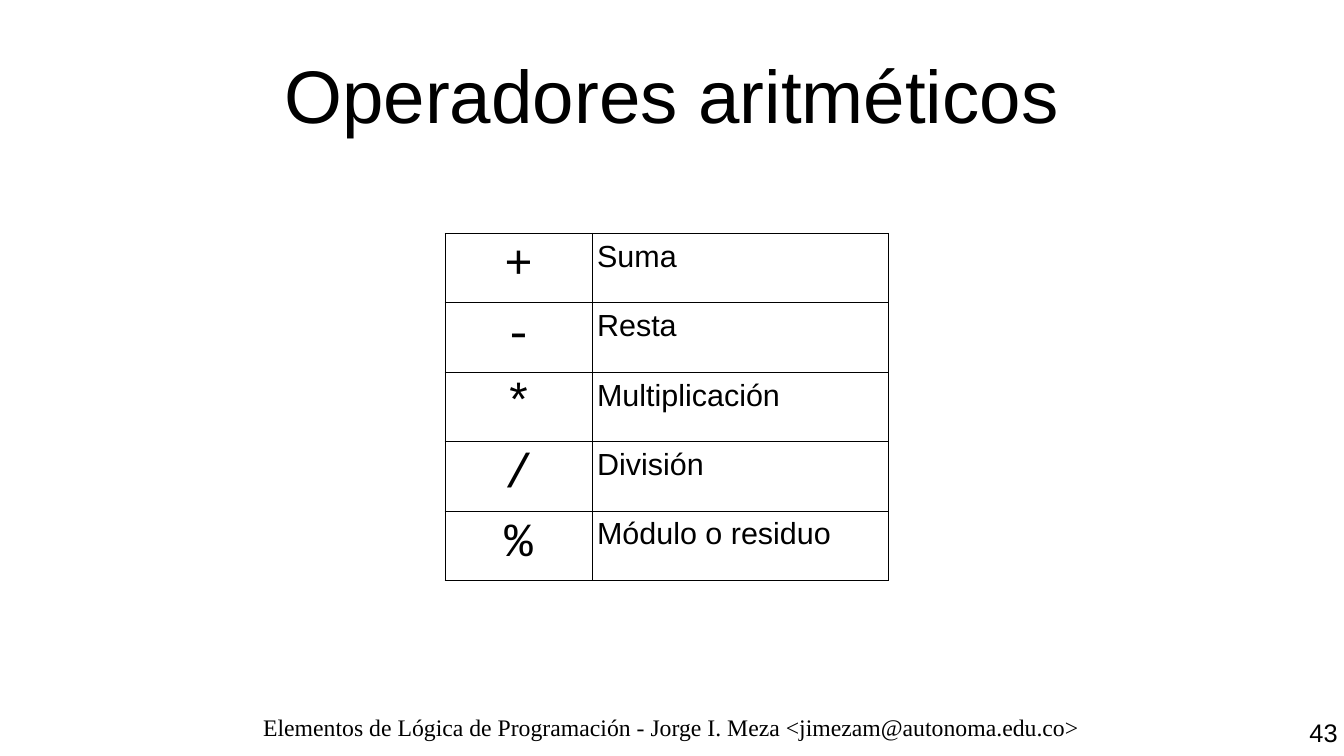
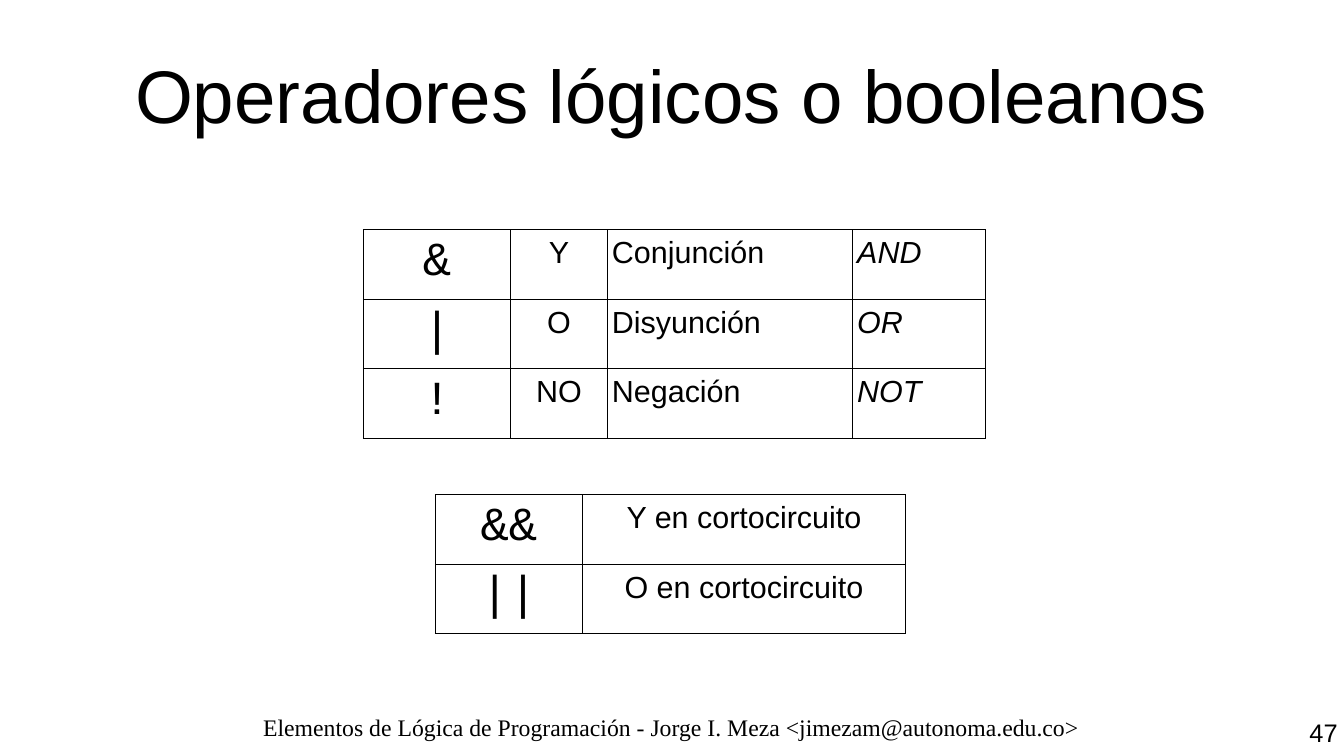
from dataclasses import dataclass

from lxml import etree
from pptx import Presentation
from pptx.dml.color import RGBColor
from pptx.enum.text import MSO_ANCHOR, PP_ALIGN
from pptx.oxml.ns import qn
from pptx.util import Cm, Pt

LEFT, MID, RIGHT = PP_ALIGN.LEFT, PP_ALIGN.CENTER, PP_ALIGN.RIGHT
TOP, CENTER = MSO_ANCHOR.TOP, MSO_ANCHOR.MIDDLE
BLANK = 6


@dataclass(frozen=True)
class Theme:
    ink: str = "000000"
    paper: str = "FFFFFF"
    sans: str = "Arial"
    mono: str = "Courier New"
    serif: str = "Times New Roman"
    head: int = 44
    sign: int = 28
    body: int = 18
    page: int = 15
    foot: int = 14
    rule: float = 0.57


THEME = Theme()

# Column styles: alignment and font values
SIGN = (MID, dict(name=THEME.mono, size=Pt(THEME.sign)))
WORD = (MID, dict(name=THEME.sans, size=Pt(THEME.body)))
NAME = (LEFT, WORD[1])
TERM = (LEFT, dict(WORD[1], italic=True))

FOOTER = ("Elementos de Lógica de Programación - "
          "Jorge I. Meza <jimezam@autonoma.edu.co>")


class Deck:
    def __init__(self, theme):
        self.theme = theme
        self.prs = Presentation()
        self.prs.slide_width, self.prs.slide_height = Cm(28), Cm(15.75)
        self.slide = None

    def label(self, frame, text, style):
        align, values = style
        para = frame.paragraphs[0]
        para.alignment = align
        run = para.add_run()
        run.text = text
        for key, value in values.items():
            setattr(run.font, key, value)
        run.font.color.rgb = RGBColor.from_string(self.theme.ink)

    def text(self, box, text, style, anchor=TOP, inset=(0, 0)):
        frame = self.slide.shapes.add_textbox(*map(Cm, box)).text_frame
        side, top = map(Cm, inset)
        form = dict(word_wrap=True, vertical_anchor=anchor,
                    margin_left=side, margin_right=side,
                    margin_top=top, margin_bottom=top)
        for key, value in form.items():
            setattr(frame, key, value)
        self.label(frame, text, style)

    def page(self, title, number):
        look = self.theme
        self.slide = self.prs.slides.add_slide(self.prs.slide_layouts[BLANK])
        fill = self.slide.background.fill
        fill.solid()
        fill.fore_color.rgb = RGBColor.from_string(look.paper)
        # Page number, title and footer
        self.text((25.2, 14.81, 2.8, 0.94), str(number),
                  (RIGHT, dict(name=look.sans, size=Pt(look.page))),
                  inset=(0.13, 0.13))
        self.text((1.4, 0.63, 25.2, 2.65), title,
                  (MID, dict(name=look.sans, size=Pt(look.head))), CENTER)
        self.text((1.3, 14.86, 25.38, 0.89), FOOTER,
                  (MID, dict(name=look.serif, size=Pt(look.foot))))

    def border(self, cell):
        props = cell._tc.get_or_add_tcPr()
        for side in ("lnL", "lnR", "lnT", "lnB"):
            line = etree.SubElement(props, qn(f"a:{side}"),
                                    w=str(int(Pt(self.theme.rule))))
            fill = etree.SubElement(line, qn("a:solidFill"))
            etree.SubElement(fill, qn("a:srgbClr"), val=self.theme.ink)

    def table(self, left, top, cols, rows, high=1.44):
        """Each column is a width with a style."""
        grid = self.slide.shapes.add_table(
            len(rows), len(cols), Cm(left), Cm(top),
            Cm(sum(wide for wide, _ in cols)), Cm(high * len(rows))).table
        grid.first_row = grid.horz_banding = False
        for col, (wide, _) in zip(grid.columns, cols):
            col.width = Cm(wide)
        form = dict(margin_left=Cm(0.1), margin_right=Cm(0.1),
                    margin_top=Cm(0.13), margin_bottom=Cm(0.13),
                    vertical_anchor=TOP)
        for row, texts in zip(grid.rows, rows):
            row.height = Cm(high)
            for cell, text, (_, style) in zip(row.cells, texts, cols):
                for key, value in form.items():
                    setattr(cell, key, value)
                self.border(cell)
                cell.fill.background()
                self.label(cell.text_frame, text, style)


def main():
    deck = Deck(THEME)

    # Arithmetic operators
    deck.page("Operadores aritméticos", 43)
    deck.table(9.27, 4.86, [(3.07, SIGN), (6.17, NAME)], [
        ("+", "Suma"),
        ("-", "Resta"),
        ("*", "Multiplicación"),
        ("/", "División"),
        ("%", "Módulo o residuo"),
    ])

    # Logical operators, then their short-circuit forms
    deck.page("Operadores lógicos o booleanos", 47)
    deck.table(7.57, 4.79,
               [(3.07, SIGN), (2.01, WORD), (5.11, NAME), (2.77, TERM)], [
                   ("&", "Y", "Conjunción", "AND"),
                   ("|", "O", "Disyunción", "OR"),
                   ("!", "NO", "Negación", "NOT"),
               ])
    deck.table(9.07, 10.31, [(3.07, SIGN), (6.72, WORD)], [
        ("&&", "Y en cortocircuito"),
        ("||", "O en cortocircuito"),
    ])

    deck.prs.save("out.pptx")


if __name__ == "__main__":
    main()
